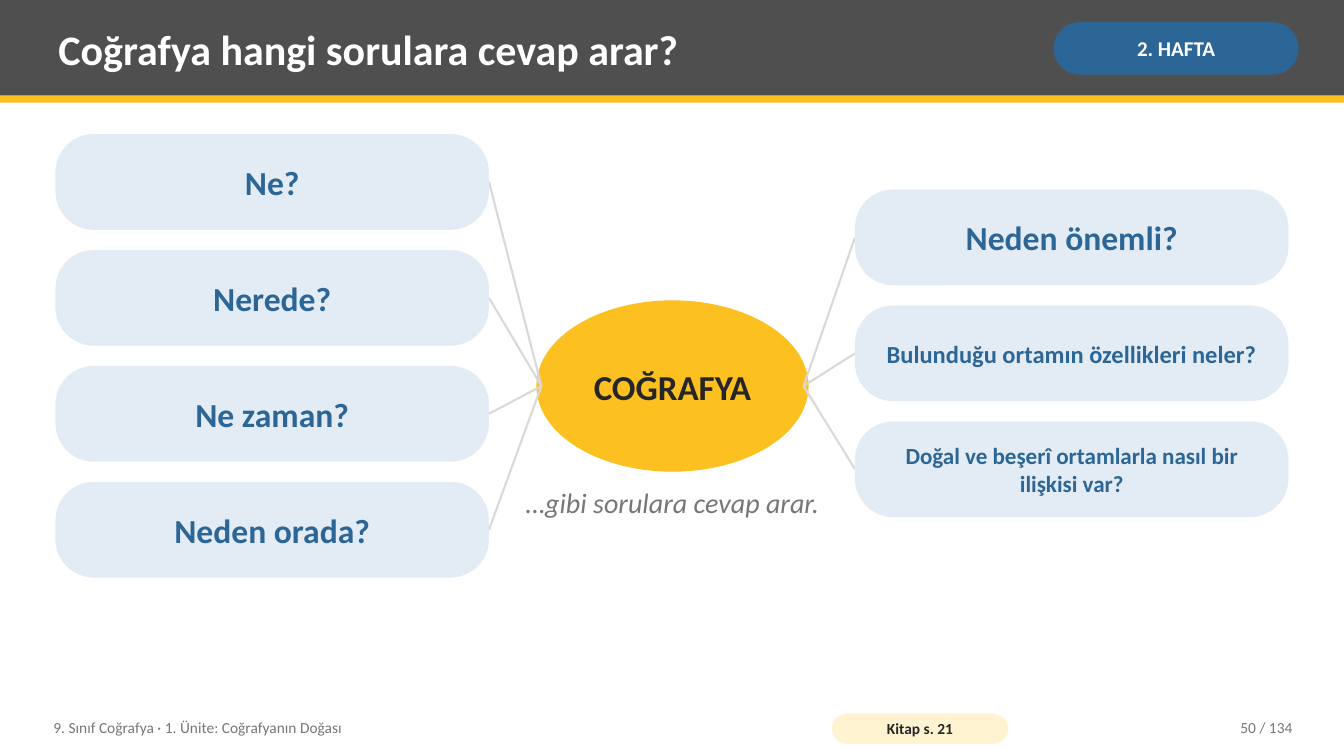
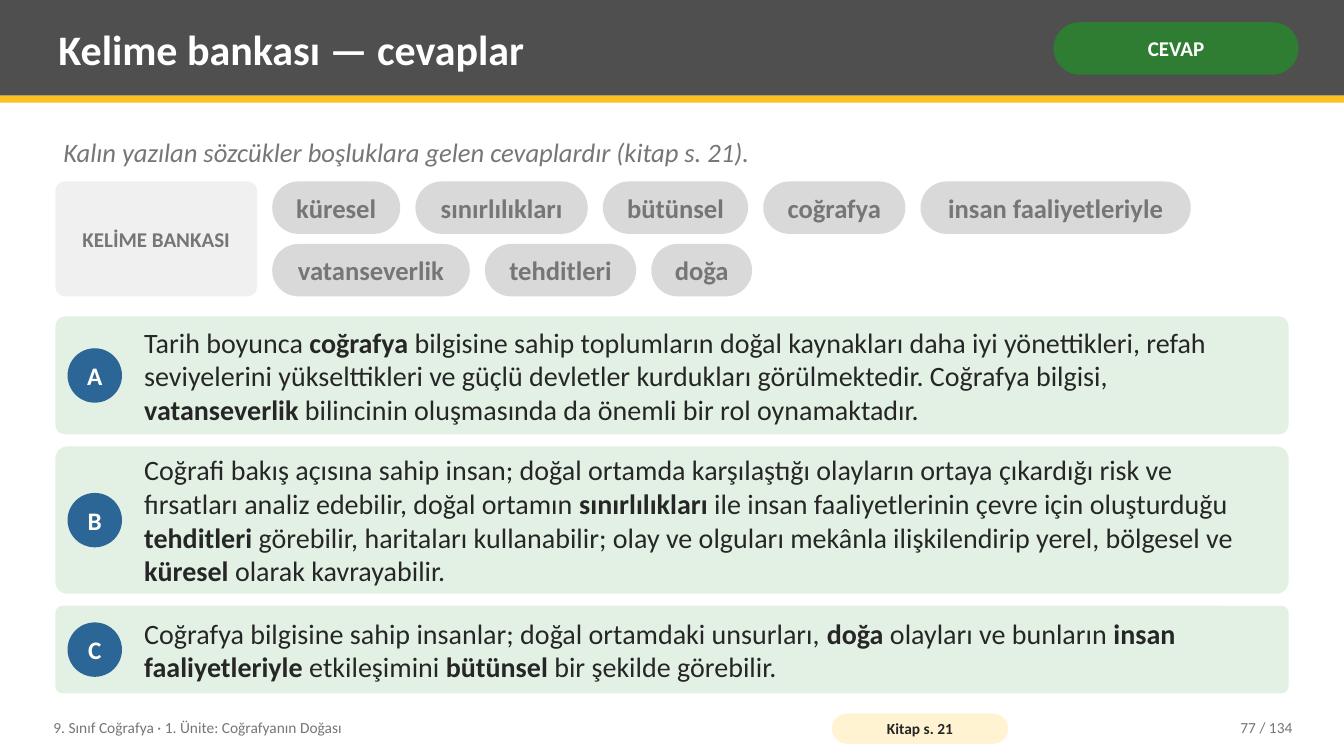
from dataclasses import dataclass

from lxml.etree import SubElement
from pptx import Presentation
from pptx.dml.color import RGBColor
from pptx.enum.shapes import MSO_CONNECTOR, MSO_SHAPE
from pptx.enum.text import MSO_ANCHOR, MSO_AUTO_SIZE, PP_ALIGN
from pptx.oxml.ns import qn
from pptx.util import Inches, Pt

SLIDE_WIDTH, SLIDE_HEIGHT = 13.33, 7.5
MARGIN, CONTENT_WIDTH = 0.55, 12.23
FONT = "Calibri"
FOOTER = "9. Sınıf Coğrafya · 1. Ünite: Coğrafyanın Doğası"
BOOK_PAGE = "Kitap s. 21"
PAGE_COUNT = 134

WHITE, INK, GREY = "FFFFFF", "262626", "767676"
CHARCOAL, SILVER, PALE_GREY = "4F4F4F", "D9D9D9", "F0F0F0"
YELLOW, PALE_YELLOW = "FCC021", "FFF3D1"
BLUE, PALE_BLUE = "2C6696", "E3ECF5"
GREEN, PALE_GREEN = "2E7D32", "E3F1E4"

TEXT_INSETS = (0.08, 0.04)
BOX_INSETS = (0.14, 0.08)


@dataclass(frozen=True)
class Box:
    left: float
    top: float
    width: float
    height: float

    @property
    def middle(self) -> float:
        return self.top + self.height / 2

    def lengths(self) -> tuple:
        return tuple(Inches(v) for v in (self.left, self.top, self.width, self.height))


@dataclass(frozen=True)
class TextStyle:
    size: float
    color: str
    bold: bool = False
    italic: bool = False
    align: PP_ALIGN = PP_ALIGN.LEFT
    anchor: MSO_ANCHOR = MSO_ANCHOR.MIDDLE
    insets: tuple[float, float] = TEXT_INSETS
    wrap: bool = True


@dataclass(frozen=True)
class Question:
    text: str
    size: float = 24


@dataclass(frozen=True)
class QuestionColumn:
    left: float
    top: float
    line_start: float
    line_end: float
    questions: tuple[Question, ...]


@dataclass(frozen=True)
class Answer:
    letter: str
    height: float
    text: str


QUESTION_COLUMNS = (
    QuestionColumn(0.55, 1.33, 5.37, 4.85, (
        Question("Ne?"),
        Question("Nerede?"),
        Question("Ne zaman?"),
        Question("Neden orada?"),
    )),
    QuestionColumn(8.48, 1.88, 7.97, 8.48, (
        Question("Neden önemli?"),
        Question("Bulunduğu ortamın özellikleri neler?", 17.5),
        Question("Doğal ve beşerî ortamlarla nasıl bir ilişkisi var?", 16.5),
    )),
)

# Word and chip width, row by row
WORD_ROWS = (
    (("küresel", 1.27), ("sınırlılıkları", 1.71), ("bütünsel", 1.44),
     ("coğrafya", 1.41), ("insan faaliyetleriyle", 2.68)),
    (("vatanseverlik", 1.96), ("tehditleri", 1.5), ("doğa", 1)),
)

ANSWERS = (
    Answer("A", 1.17,
           "Tarih boyunca *coğrafya* bilgisine sahip toplumların doğal kaynakları daha iyi "
           "yönettikleri, refah seviyelerini yükselttikleri ve güçlü devletler kurdukları "
           "görülmektedir. Coğrafya bilgisi, *vatanseverlik* bilincinin oluşmasında da "
           "önemli bir rol oynamaktadır."),
    Answer("B", 1.46,
           "Coğrafi bakış açısına sahip insan; doğal ortamda karşılaştığı olayların ortaya "
           "çıkardığı risk ve fırsatları analiz edebilir, doğal ortamın *sınırlılıkları* ile "
           "insan faaliyetlerinin çevre için oluşturduğu *tehditleri* görebilir, haritaları "
           "kullanabilir; olay ve olguları mekânla ilişkilendirip yerel, bölgesel ve "
           "*küresel* olarak kavrayabilir."),
    Answer("C", 0.87,
           "Coğrafya bilgisine sahip insanlar; doğal ortamdaki unsurları, *doğa* olayları ve "
           "bunların *insan faaliyetleriyle* etkileşimini *bütünsel* bir şekilde görebilir."),
)


def rgb(color: str) -> RGBColor:
    return RGBColor.from_string(color)


def set_attributes(target, values: dict) -> None:
    for name, value in values.items():
        setattr(target, name, value)


def write_text(shape, text: str, style: TextStyle) -> None:
    """Fill the shape with one paragraph; words between asterisks become bold."""
    horizontal, vertical = (Inches(inset) for inset in style.insets)
    frame = shape.text_frame
    set_attributes(frame, {
        "auto_size": MSO_AUTO_SIZE.NONE,
        "word_wrap": style.wrap,
        "vertical_anchor": style.anchor,
        "margin_left": horizontal,
        "margin_right": horizontal,
        "margin_top": vertical,
        "margin_bottom": vertical,
    })
    paragraph = frame.paragraphs[0]
    paragraph.alignment = style.align
    for index, part in enumerate(text.split("*")):
        run = paragraph.add_run()
        run.text = part
        set_attributes(run.font, {
            "name": FONT,
            "size": Pt(style.size),
            "bold": style.bold or index % 2 == 1,
            "italic": style.italic,
        })
        run.font.color.rgb = rgb(style.color)


def add_filled_shape(slide, kind: MSO_SHAPE, box: Box, fill: str, roundness: float | None = None):
    shape = slide.shapes.add_shape(kind, *box.lengths())
    shape.shadow.inherit = False
    shape.fill.solid()
    shape.fill.fore_color.rgb = rgb(fill)
    shape.line.fill.background()
    if roundness is not None:
        shape.adjustments[0] = roundness
    return shape


def add_rounded(slide, box: Box, fill: str, roundness: float):
    return add_filled_shape(slide, MSO_SHAPE.ROUNDED_RECTANGLE, box, fill, roundness)


def add_text(slide, box: Box, text: str, style: TextStyle) -> None:
    write_text(slide.shapes.add_textbox(*box.lengths()), text, style)


def add_line(slide, start: tuple[float, float], end: tuple[float, float]) -> None:
    points = (Inches(value) for value in (*start, *end))
    line = slide.shapes.add_connector(MSO_CONNECTOR.STRAIGHT, *points)
    line.line.color.rgb = rgb(SILVER)
    line.line.width = Pt(1.5)
    SubElement(line.element.spPr, qn("a:effectLst"))


def centered(size: float, color: str, insets: tuple[float, float] = BOX_INSETS,
             wrap: bool = True) -> TextStyle:
    return TextStyle(size, color, bold=True, align=PP_ALIGN.CENTER, insets=insets, wrap=wrap)


def add_framed_slide(presentation, title: str, tag: str, tag_color: str, page: int):
    """Add a slide with the header band, title, tag and footer."""
    slide = presentation.slides.add_slide(presentation.slide_layouts[5])
    for box, color in ((Box(0, 0, SLIDE_WIDTH, 0.95), CHARCOAL),
                       (Box(0, 0.95, SLIDE_WIDTH, 0.07), YELLOW)):
        add_filled_shape(slide, MSO_SHAPE.RECTANGLE, box, color)

    heading = slide.shapes.title
    heading.element.getparent().append(heading.element)  # in front of the band
    heading.left, heading.top, heading.width, heading.height = Box(0.5, 0.07, 9.75, 0.82).lengths()
    write_text(heading, title, TextStyle(30, WHITE, bold=True))

    tag_shape = add_rounded(slide, Box(10.45, 0.22, 2.43, 0.52), tag_color, 0.5)
    write_text(tag_shape, tag, centered(15, WHITE, (0.05, 0.02)))

    add_text(slide, Box(0.45, 7.04, 7.6, 0.36), FOOTER, TextStyle(11, GREY))
    book_page = add_rounded(slide, Box(8.25, 7.08, 1.75, 0.3), PALE_YELLOW, 0.5)
    write_text(book_page, BOOK_PAGE, centered(11, INK, (0.04, 0)))
    add_text(slide, Box(11.3, 7.04, 1.6, 0.36), f"{page} / {PAGE_COUNT}",
             TextStyle(11, GREY, align=PP_ALIGN.RIGHT))
    return slide


def add_question_column(slide, column: QuestionColumn, hub_middle: float) -> None:
    height, gap = 0.95, 0.2
    for index, question in enumerate(column.questions):
        box = Box(column.left, column.top + index * (height + gap), 4.3, height)
        add_line(slide, (column.line_start, hub_middle), (column.line_end, box.middle))
        write_text(add_rounded(slide, box, PALE_BLUE, 0.4), question.text,
                   centered(question.size, BLUE))


def add_questions_slide(presentation) -> None:
    slide = add_framed_slide(presentation, "Coğrafya hangi sorulara cevap arar?",
                             "2. HAFTA", BLUE, 50)
    hub = Box(5.32, 2.98, 2.7, 1.7)
    write_text(add_filled_shape(slide, MSO_SHAPE.OVAL, hub, YELLOW), "COĞRAFYA",
               centered(25, INK))
    for column in QUESTION_COLUMNS:
        add_question_column(slide, column, hub.middle)
    add_text(slide, Box(4.67, 4.78, 4, 0.6), "…gibi sorulara cevap arar.",
             TextStyle(20, GREY, italic=True, align=PP_ALIGN.CENTER, anchor=MSO_ANCHOR.TOP))


def add_word_bank(slide) -> None:
    top, chip_height, row_gap, chip_gap = 1.8, 0.52, 0.1, 0.15
    label = add_rounded(slide, Box(MARGIN, top, 2, 2 * chip_height + row_gap), PALE_GREY, 0.08)
    write_text(label, "KELİME BANKASI", centered(15, GREY))
    for row, words in enumerate(WORD_ROWS):
        left = 2.7
        for word, width in words:
            box = Box(left, top + row * (chip_height + row_gap), width, chip_height)
            write_text(add_rounded(slide, box, SILVER, 0.5), word, centered(19, GREY, (0.1, 0)))
            left += width + chip_gap


def add_answers(slide) -> None:
    top, gap, badge_size = 3.14, 0.12, 0.54
    for answer in ANSWERS:
        card = Box(MARGIN, top, CONTENT_WIDTH, answer.height)
        add_rounded(slide, card, PALE_GREEN, 0.08)
        badge = Box(0.67, card.middle - badge_size / 2, badge_size, badge_size)
        write_text(add_filled_shape(slide, MSO_SHAPE.OVAL, badge, BLUE), answer.letter,
                   centered(18, WHITE, (0, 0), wrap=False))
        add_text(slide, Box(1.35, top, 11.28, answer.height), answer.text, TextStyle(20, INK))
        top += answer.height + gap


def add_word_bank_slide(presentation) -> None:
    slide = add_framed_slide(presentation, "Kelime bankası — cevaplar", "CEVAP", GREEN, 77)
    add_text(slide, Box(MARGIN, 1.28, CONTENT_WIDTH, 0.45),
             "Kalın yazılan sözcükler boşluklara gelen cevaplardır (kitap s. 21).",
             TextStyle(19, GREY, italic=True))
    add_word_bank(slide)
    add_answers(slide)


def main() -> None:
    presentation = Presentation()
    presentation.slide_width = Inches(SLIDE_WIDTH)
    presentation.slide_height = Inches(SLIDE_HEIGHT)
    add_questions_slide(presentation)
    add_word_bank_slide(presentation)
    presentation.save("out.pptx")


if __name__ == "__main__":
    main()
